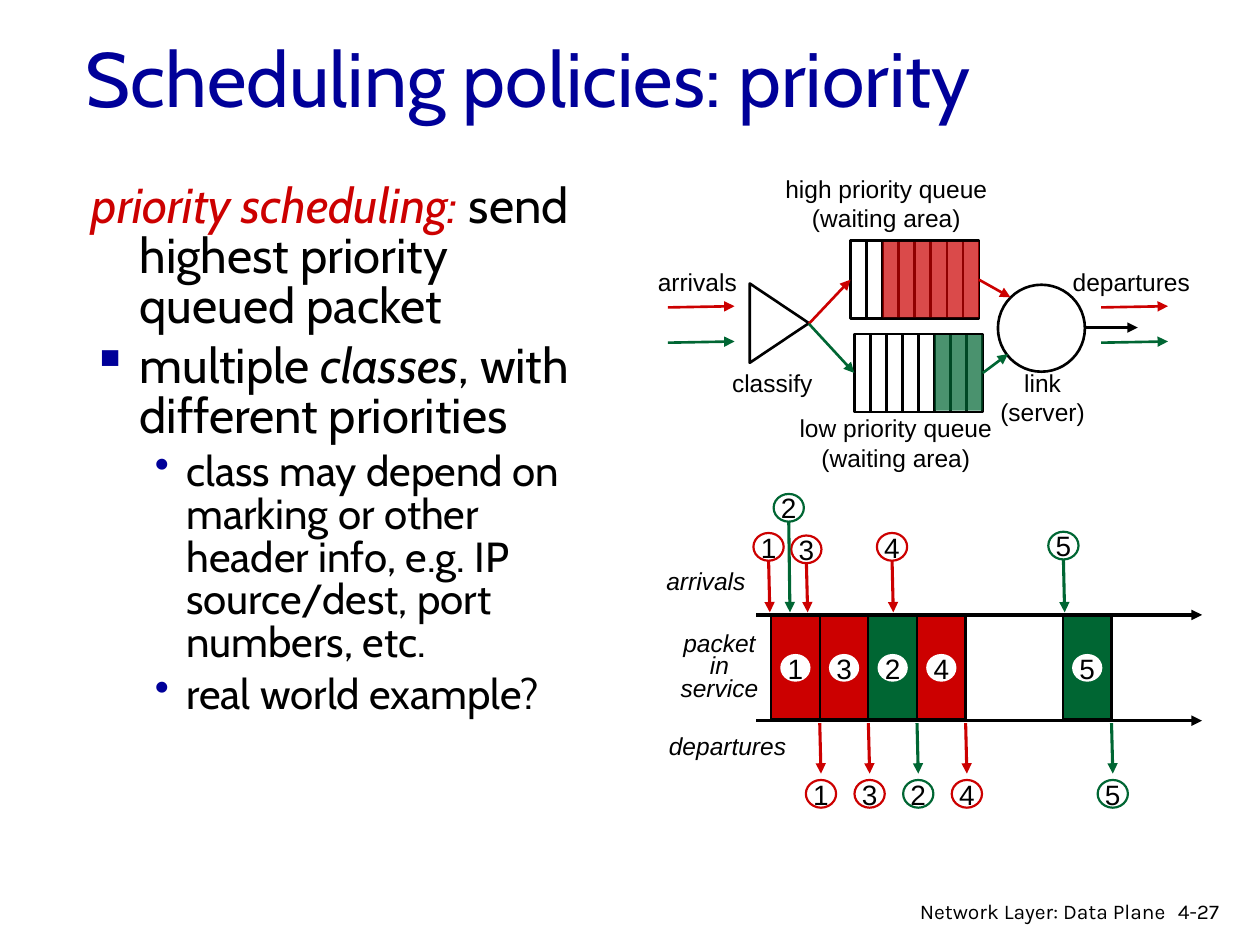
from dataclasses import dataclass

from pptx import Presentation
from pptx.dml.color import RGBColor
from pptx.enum.shapes import MSO_CONNECTOR, MSO_SHAPE
from pptx.enum.text import MSO_ANCHOR, MSO_AUTO_SIZE, PP_ALIGN
from pptx.oxml.ns import qn
from pptx.util import Inches, Pt
from lxml import etree

RECTANGLE, ELLIPSE, TRIANGLE = MSO_SHAPE.RECTANGLE, MSO_SHAPE.OVAL, MSO_SHAPE.ISOSCELES_TRIANGLE
STRAIGHT = MSO_CONNECTOR.STRAIGHT
LEFT, CENTER, RIGHT = PP_ALIGN.LEFT, PP_ALIGN.CENTER, PP_ALIGN.RIGHT
MIDDLE = MSO_ANCHOR.MIDDLE
NO_FIT, GROW = MSO_AUTO_SIZE.NONE, MSO_AUTO_SIZE.SHAPE_TO_FIT_TEXT
BLACK, WHITE, RED, GREEN, BLUE = "000000", "FFFFFF", "CC0000", "006633", "000099"
LEFT_SIDE, RIGHT_SIDE = 1, 3
QUEUE_WIDTH, QUEUE_HEIGHT, QUEUE_CELLS = 1.02, 0.62, 8
SLOT_LEFT, SLOT_WIDTH = 6.12, 0.386
TIMELINE_TOP, TIMELINE_BOTTOM = 4.88, 5.72
MARKER_WIDTH, MARKER_HEIGHT = 0.24, 0.22


@dataclass
class Queue:
    left: float
    top: float
    waiting: int
    color: str


@dataclass
class Packet:
    number: int
    color: str
    slot: int
    arrival_x: float
    arrival_top: float


@dataclass
class Label:
    text: str
    left: float
    top: float
    width: float
    height: float
    align: PP_ALIGN = CENTER
    italic: bool = False
    size: float = 14
    font: str = "Arial"
    wrap: bool = False
    leading: float | None = None


@dataclass
class Bullet:
    pieces: list
    size: float
    margin: float
    hanging: float
    symbol: str = ""


QUEUES = [Queue(6.75, 1.91, 6, RED), Queue(6.78, 2.65, 3, GREEN)]
PACKETS = [
    Packet(1, RED, 0, 6.1, 4.23),
    Packet(3, RED, 1, 6.4, 4.25),
    Packet(2, GREEN, 2, 6.26, 3.92),
    Packet(4, RED, 3, 7.08, 4.23),
    Packet(5, GREEN, 6, 8.44, 4.22),
]
LABELS = [
    Label("high priority queue\n(waiting area)", 6.1, 1.33, 1.87, 0.57),
    Label("low priority queue\n(waiting area)", 6.24, 3.23, 1.74, 0.57),
    Label("arrivals", 5.12, 2.07, 0.83, 0.34),
    Label("classify", 5.7, 2.87, 0.86, 0.34),
    Label("departures", 8.41, 2.07, 1.14, 0.34),
    Label("link\n(server)", 7.81, 2.87, 0.93, 0.57),
    Label("arrivals", 5.19, 4.44, 0.88, 0.34, LEFT, True),
    Label("departures", 5.21, 5.75, 1.19, 0.34, LEFT, True),
    Label("packet in service", 5.24, 4.99, 0.94, 0.65, italic=True, wrap=True, leading=12.8),
    Label("4-27", 9.25, 7.08, 0.61, 0.3, LEFT, size=12, font="Karla", wrap=True),
    Label("Network Layer: Data Plane", 6.97, 7.08, 2.38, 0.26, RIGHT, size=12, font="Karla", wrap=True),
]
BULLETS = [
    Bullet([("priority scheduling: ", RED, True), ("send highest priority queued packet", BLACK, False)],
           28, 0.38, 0.38),
    Bullet([("multiple ", BLACK, False), ("classes", BLACK, True), (", with different priorities", BLACK, False)],
           28, 0.38, 0.38, "▪"),
    Bullet([("class may depend on marking or other header info, e.g. IP source/dest, port numbers, etc.",
             BLACK, False)], 24, 0.75, 0.25, "•"),
    Bullet([("real world example?", BLACK, False)], 24, 0.75, 0.25, "•"),
]


def rgb(color: str) -> RGBColor:
    return RGBColor.from_string(color)


def format_run(run, font: str, size: float, color: str, italic: bool = False) -> None:
    run.font.name = font
    run.font.size = Pt(size)
    run.font.color.rgb = rgb(color)
    run.font.italic = italic


def add_figure(slide, kind, left: float, top: float, width: float, height: float,
               fill: str | None = None, line: str | None = None, line_width: float = 1.5,
               opacity: int = 100):
    shape = slide.shapes.add_shape(kind, Inches(left), Inches(top), Inches(width), Inches(height))
    shape.shadow.inherit = False
    if fill:
        shape.fill.solid()
        shape.fill.fore_color.rgb = rgb(fill)
        if opacity < 100:
            color = shape.fill._xPr.find(qn("a:solidFill"))[0]
            etree.SubElement(color, qn("a:alpha"), val=str(opacity * 1000))
    else:
        shape.fill.background()
    if line:
        shape.line.color.rgb = rgb(line)
        shape.line.width = Pt(line_width)
    else:
        shape.line.fill.background()
    return shape


def add_line(slide, start: tuple, end: tuple, color: str = BLACK, width: float = 1.5, arrow: bool = True):
    connector = slide.shapes.add_connector(STRAIGHT, *(Inches(value) for value in (*start, *end)))
    connector.line.color.rgb = rgb(color)
    connector.line.width = Pt(width)
    properties = connector._element.spPr
    if arrow:
        etree.SubElement(properties.find(qn("a:ln")), qn("a:tailEnd"), type="triangle")
    etree.SubElement(properties, qn("a:effectLst"))
    return connector


def add_label(slide, label: Label) -> None:
    box = slide.shapes.add_textbox(Inches(label.left), Inches(label.top), Inches(label.width), Inches(label.height))
    frame = box.text_frame
    frame.text = label.text
    frame.word_wrap = label.wrap
    frame.auto_size = NO_FIT if label.wrap else GROW
    for paragraph in frame.paragraphs:
        paragraph.alignment = label.align
        if label.leading:
            paragraph.line_spacing = Pt(label.leading)
        for run in paragraph.runs:
            format_run(run, label.font, label.size, BLACK, label.italic)


def add_bullets(slide, bullets: list[Bullet]) -> None:
    frame = slide.shapes.add_textbox(Inches(0.63), Inches(1.41), Inches(4.05), Inches(5.58)).text_frame
    frame.word_wrap = True
    for index, bullet in enumerate(bullets):
        paragraph = frame.add_paragraph() if index else frame.paragraphs[0]
        paragraph.line_spacing = 0.85
        paragraph.space_before = Pt(bullet.size * 0.2)
        properties = paragraph._p.get_or_add_pPr()
        properties.set("marL", str(Inches(bullet.margin)))
        properties.set("indent", str(-Inches(bullet.hanging)))
        if bullet.symbol:
            color = etree.SubElement(properties, qn("a:buClr"))
            etree.SubElement(color, qn("a:srgbClr"), val=BLUE)
            etree.SubElement(properties, qn("a:buChar"), char=bullet.symbol)
        for text, text_color, italic in bullet.pieces:
            run = paragraph.add_run()
            run.text = text
            format_run(run, "Cabin", bullet.size, text_color, italic)


def add_queue(slide, queue: Queue):
    cell = QUEUE_WIDTH / QUEUE_CELLS
    frame = add_figure(slide, RECTANGLE, queue.left, queue.top, QUEUE_WIDTH, QUEUE_HEIGHT, line=BLACK)
    for index in range(1, QUEUE_CELLS):
        x = queue.left + index * cell
        add_line(slide, (x, queue.top), (x, queue.top + QUEUE_HEIGHT), arrow=False)
    waiting_left = queue.left + (QUEUE_CELLS - queue.waiting) * cell
    add_figure(slide, RECTANGLE, waiting_left, queue.top + 0.01, queue.waiting * cell, 0.6, queue.color, opacity=71)
    return frame


def add_marker(slide, number: int, center_x: float, top: float, line: str | None = None) -> None:
    marker = add_figure(slide, ELLIPSE, center_x - MARKER_WIDTH / 2, top, MARKER_WIDTH, MARKER_HEIGHT,
                        WHITE, line, 1.25)
    frame = marker.text_frame
    frame.margin_left = frame.margin_right = frame.margin_top = frame.margin_bottom = 0
    frame.word_wrap = False
    frame.vertical_anchor = MIDDLE
    frame.text = str(number)
    frame.paragraphs[0].alignment = CENTER
    format_run(frame.paragraphs[0].runs[0], "Arial", 16, BLACK)


def add_packet(slide, packet: Packet) -> None:
    left = SLOT_LEFT + packet.slot * SLOT_WIDTH
    right = left + SLOT_WIDTH
    add_figure(slide, RECTANGLE, left, 4.89, SLOT_WIDTH, 0.82, packet.color, BLACK, 1.25)
    add_marker(slide, packet.number, left + SLOT_WIDTH / 2, 5.19)
    add_line(slide, (packet.arrival_x, packet.arrival_top + MARKER_HEIGHT), (packet.arrival_x + 0.01, 4.86),
             packet.color, 1.75)
    add_marker(slide, packet.number, packet.arrival_x, packet.arrival_top, packet.color)
    add_line(slide, (right, 5.74), (right + 0.01, 6.14), packet.color, 1.75)
    add_marker(slide, packet.number, right + 0.01, 6.19, packet.color)


def main() -> None:
    presentation = Presentation()
    presentation.slide_width, presentation.slide_height = Inches(10), Inches(7.5)
    slide = presentation.slides.add_slide(presentation.slide_layouts[5])
    title = slide.shapes.title
    title.left, title.top, title.width, title.height = Inches(0.58), Inches(-0.02), Inches(8.5), Inches(1.25)
    title.text_frame.text = "Scheduling policies: priority"
    title.text_frame.auto_size = NO_FIT
    title.text_frame.vertical_anchor = MIDDLE
    title.text_frame.paragraphs[0].alignment = LEFT
    format_run(title.text_frame.paragraphs[0].runs[0], "Cabin", 44, BLUE)
    add_bullets(slide, BULLETS)

    classifier = add_figure(slide, TRIANGLE, 5.87, 2.33, 0.63, 0.47, line=BLACK)
    classifier.rotation = 90
    add_figure(slide, ELLIPSE, 7.92, 2.26, 0.69, 0.69, line=BLACK)
    for queue, link_point in zip(QUEUES, [(8.02, 2.36), (8, 2.81)]):
        frame = add_queue(slide, queue)
        middle = queue.top + QUEUE_HEIGHT / 2
        inlet = add_line(slide, (6.42, 2.57), (queue.left, middle), queue.color)
        inlet.end_connect(frame, LEFT_SIDE)
        outlet = add_line(slide, (queue.left + QUEUE_WIDTH, middle), link_point, queue.color)
        outlet.begin_connect(frame, RIGHT_SIDE)
    for x in (5.3, 8.74):
        for y, color in ((2.44, RED), (2.72, GREEN)):
            add_line(slide, (x, y), (x + 0.53, y - 0.01), color)
    add_line(slide, (8.6, 2.6), (9.03, 2.6))

    for y in (TIMELINE_TOP, TIMELINE_BOTTOM):
        add_line(slide, (6, y), (9.54, y), width=2)
    for packet in PACKETS:
        add_packet(slide, packet)
    for label in LABELS:
        add_label(slide, label)
    presentation.save("out.pptx")


if __name__ == "__main__":
    main()
